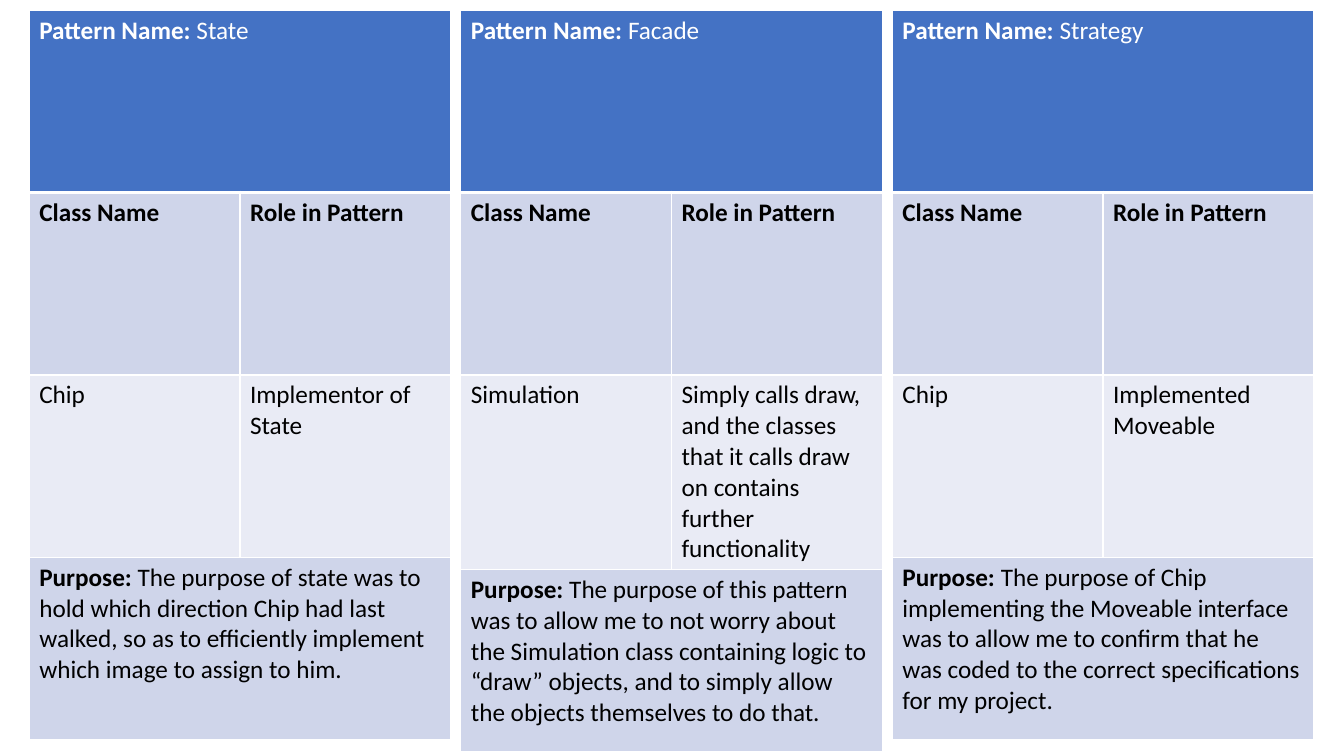
"""Build a slide that summarises three design patterns as side-by-side tables."""
import pptx
import pptx.dml.color
import pptx.oxml
import pptx.oxml.ns
import pptx.util

SLIDE_WIDTH, SLIDE_HEIGHT = 13.33, 7.5
LEFT, TOP = 0.29, 0.1
CARD_STEP, CARD_WIDTH = 4.28, 4.18
ROW_COUNT, COLUMN_COUNT = 4, 2
ROW_HEIGHT = 1.81
THIN, THICK = 1, 3
COLORS = {
    "header": "4472C4",
    "band": "CFD5EA",
    "pale": "E9EBF5",
    "white": "FFFFFF",
    "black": "000000",
}
PATTERNS = [
    ("State", "Chip", "Implementor of State",
     "The purpose of state was to hold which direction Chip had last walked, "
     "so as to efficiently implement which image to assign to him."),
    ("Facade", "Simulation",
     "Simply calls draw, and the classes that it calls draw on contains further functionality",
     "The purpose of this pattern was to allow me to not worry about the Simulation class "
     "containing logic to “draw” objects, and to simply allow the objects themselves to do that."),
    ("Strategy", "Chip", "Implemented Moveable",
     "The purpose of Chip implementing the Moveable interface was to allow me to confirm "
     "that he was coded to the correct specifications for my project."),
]


def rgb(name):
    return pptx.dml.color.RGBColor.from_string(COLORS[name])


def write(cell, text, bold=False, color="black", size=18, font="Calibri"):
    run = cell.text_frame.paragraphs[0].add_run()
    run.text = text
    run.font.bold = bold
    run.font.size = pptx.util.Pt(size)
    run.font.name = font
    run.font.color.rgb = rgb(color)


def style_cell(cell, fill, top=THIN, bottom=THIN):
    properties = cell._tc.get_or_add_tcPr()
    for side, width in (("L", THIN), ("R", THIN), ("T", top), ("B", bottom)):
        properties.append(pptx.oxml.parse_xml(
            f'<a:ln{side} {pptx.oxml.ns.nsdecls("a")} w="{pptx.util.Pt(width)}">'
            f'<a:solidFill><a:srgbClr val="{COLORS["white"]}"/></a:solidFill></a:ln{side}>'))
    cell.fill.solid()
    cell.fill.fore_color.rgb = rgb(fill)


def add_pattern_card(slide, position, pattern):
    name, class_name, role, purpose = pattern
    card = slide.shapes.add_table(
        ROW_COUNT, COLUMN_COUNT,
        pptx.util.Inches(LEFT + position * CARD_STEP), pptx.util.Inches(TOP),
        pptx.util.Inches(CARD_WIDTH), pptx.util.Inches(ROW_COUNT * ROW_HEIGHT)).table
    for row, fill in enumerate(("header", "band", "pale", "band")):
        for column in range(COLUMN_COUNT):
            style_cell(card.cell(row, column), fill,
                       top=THICK if row == 1 else THIN,
                       bottom=THICK if row == 0 else THIN)
    for row, label, detail, color in ((0, "Pattern Name: ", name, "white"),
                                      (3, "Purpose: ", purpose, "black")):
        banner = card.cell(row, 0)
        banner.merge(card.cell(row, COLUMN_COUNT - 1))
        write(banner, label, bold=True, color=color)
        write(banner, detail, color=color)
    for column, (heading, entry) in enumerate((("Class Name", class_name),
                                               ("Role in Pattern", role))):
        write(card.cell(1, column), heading, bold=True)
        write(card.cell(2, column), entry)


def main():
    deck = pptx.Presentation()
    deck.slide_width = pptx.util.Inches(SLIDE_WIDTH)
    deck.slide_height = pptx.util.Inches(SLIDE_HEIGHT)
    slide = deck.slides.add_slide(deck.slide_layouts[6])
    for position, pattern in enumerate(PATTERNS):
        add_pattern_card(slide, position, pattern)
    deck.save("out.pptx")


if __name__ == "__main__":
    main()
